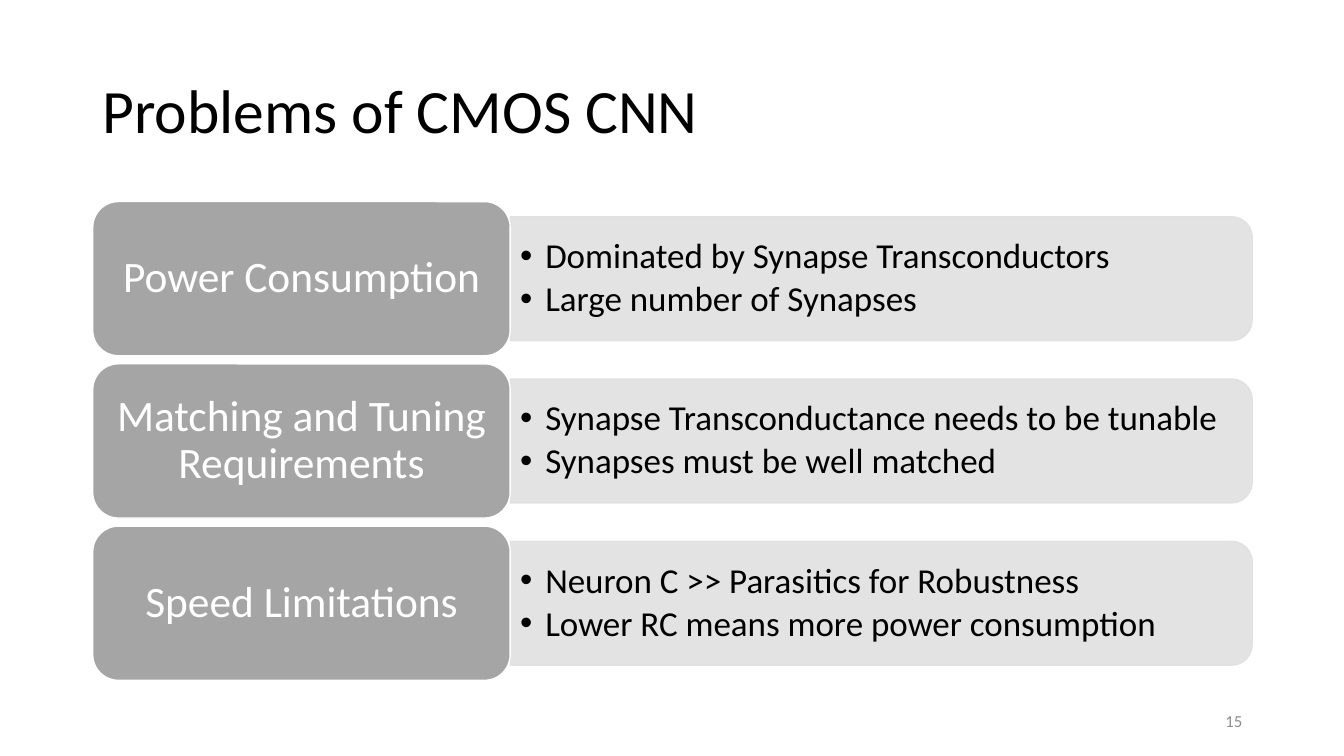
"""Build a slide listing three problems of CMOS CNN beside their details."""
from lxml.etree import SubElement
from pptx import Presentation
from pptx.dml.color import RGBColor
from pptx.enum.shapes import MSO_SHAPE as Shape
from pptx.enum.text import MSO_ANCHOR as Anchor, PP_ALIGN as Align
from pptx.oxml.ns import qn
from pptx.util import Inches, Pt

COLORS = {"text": "000000", "label": "A5A5A5", "panel": "E1E1E1",
          "white": "FFFFFF", "number": "8C8C8C"}
PROBLEMS = [
    ("Power Consumption",
     ["Dominated by Synapse Transconductors", "Large number of Synapses"]),
    ("Matching and Tuning Requirements",
     ["Synapse Transconductance needs to be tunable", "Synapses must be well matched"]),
    ("Speed Limitations",
     ["Neuron C >> Parasitics for Robustness", "Lower RC means more power consumption"]),
]
LEFT, WIDTH, TOP = 0.92, 11.5, 2
LABEL_WIDTH, LABEL_HEIGHT, ROW_PITCH = 4.14, 1.53, 1.61
PANEL_LEFT = LEFT + LABEL_WIDTH
PANEL_WIDTH, PANEL_HEIGHT = WIDTH - LABEL_WIDTH, 1.23


def write(shape, lines, size, color="text", align=Align.LEFT, margins=(0.1, 0.05),
          spacing=0.9, bullets=False):
    frame = shape.text_frame
    frame.word_wrap = True
    frame.vertical_anchor = Anchor.MIDDLE
    frame.margin_left = frame.margin_right = Inches(margins[0])
    frame.margin_top = frame.margin_bottom = Inches(margins[1])
    for index, line in enumerate(lines):
        paragraph = frame.add_paragraph() if index else frame.paragraphs[0]
        paragraph.alignment = align
        paragraph.line_spacing = spacing
        if index:
            paragraph.space_before = Pt(0.15 * size)
        if bullets:
            properties = paragraph._p.get_or_add_pPr()
            properties.set("marL", str(Inches(0.25)))
            properties.set("indent", str(-Inches(0.25)))
            SubElement(properties, qn("a:buFont")).set("typeface", "Arial")
            SubElement(properties, qn("a:buChar")).set("char", "•")
        run = paragraph.add_run()
        run.text = line
        run.font.name = "Calibri"
        run.font.size = Pt(size)
        run.font.color.rgb = RGBColor.from_string(COLORS[color])


def add_box(kind, left, top, width, height, fill, line, opacity=None):
    shape = slide.shapes.add_shape(kind, *map(Inches, (left, top, width, height)))
    shape.shadow.inherit = False
    shape.fill.solid()
    shape.fill.fore_color.rgb = RGBColor.from_string(COLORS[fill])
    shape.line.color.rgb = RGBColor.from_string(COLORS[line])
    shape.line.width = Pt(1)
    if opacity:
        for color in shape._element.spPr.iter(qn("a:srgbClr")):
            SubElement(color, qn("a:alpha")).set("val", str(opacity * 1000))
    return shape


presentation = Presentation()
presentation.slide_width, presentation.slide_height = Inches(13.33), Inches(7.5)
slide = presentation.slides.add_slide(presentation.slide_layouts[6])

title = slide.shapes.add_textbox(*map(Inches, (LEFT, 0.4, WIDTH, 1.45)))
write(title, ["Problems of CMOS CNN"], 44)

for row, (problem, details) in enumerate(PROBLEMS):
    top = TOP + row * ROW_PITCH
    middle = top + LABEL_HEIGHT / 2
    panel = add_box(Shape.ROUND_2_SAME_RECTANGLE,
                    PANEL_LEFT + (PANEL_WIDTH - PANEL_HEIGHT) / 2, middle - PANEL_WIDTH / 2,
                    PANEL_HEIGHT, PANEL_WIDTH, "panel", "panel", opacity=90)
    panel.rotation = 90
    detail_box = slide.shapes.add_textbox(
        *map(Inches, (PANEL_LEFT, middle - 0.555, 7.3, 1.11)))
    write(detail_box, details, 25, bullets=True)
    label = add_box(Shape.ROUNDED_RECTANGLE, LEFT, top, LABEL_WIDTH, LABEL_HEIGHT,
                    "label", "white")
    write(label, [problem], 31, color="white", align=Align.CENTER, margins=(0.13, 0.06))

number = slide.shapes.add_textbox(*map(Inches, (LEFT + WIDTH - 3, 6.95, 3, 0.4)))
write(number, ["15"], 12, color="number", align=Align.RIGHT, spacing=1.0)

presentation.save("out.pptx")
